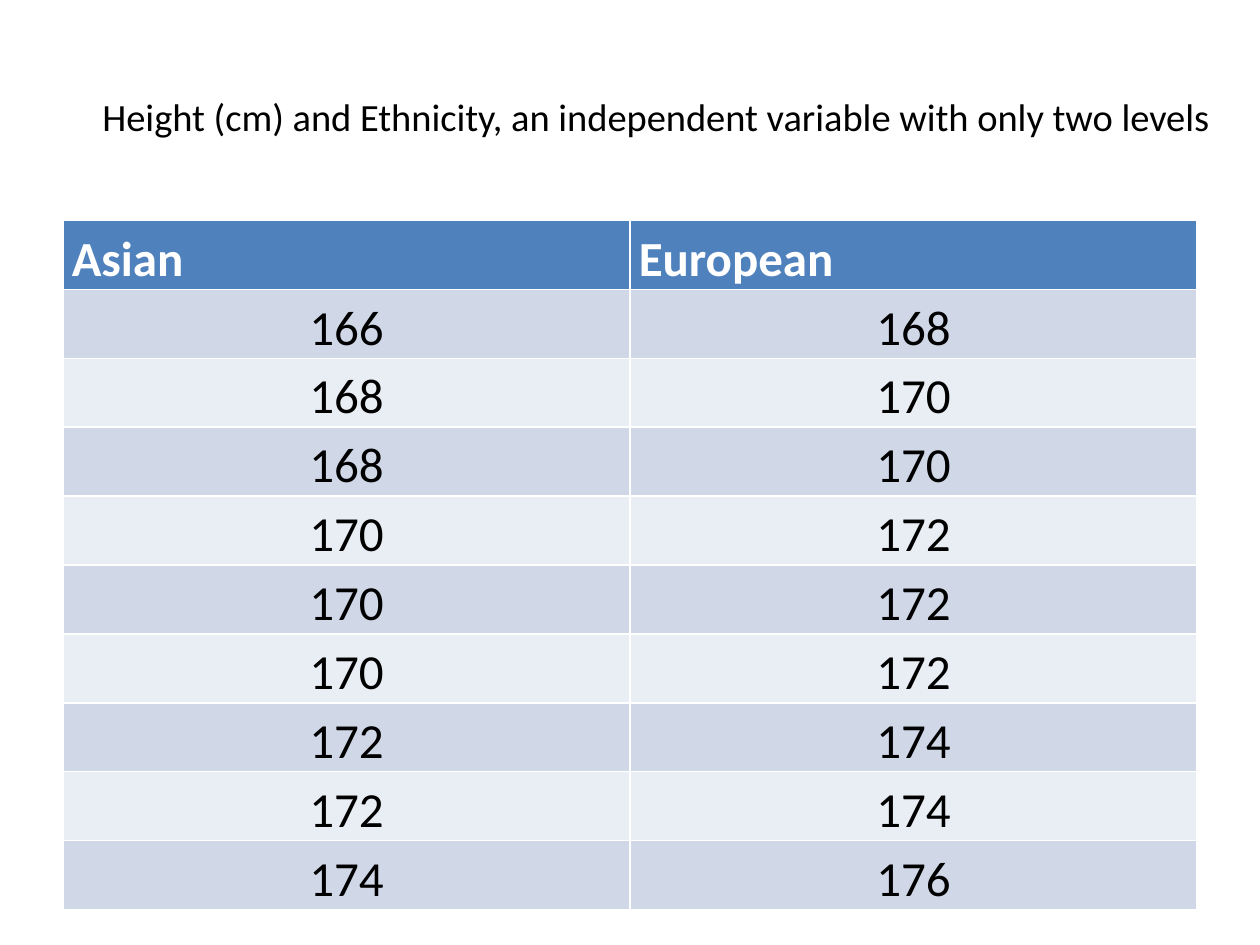
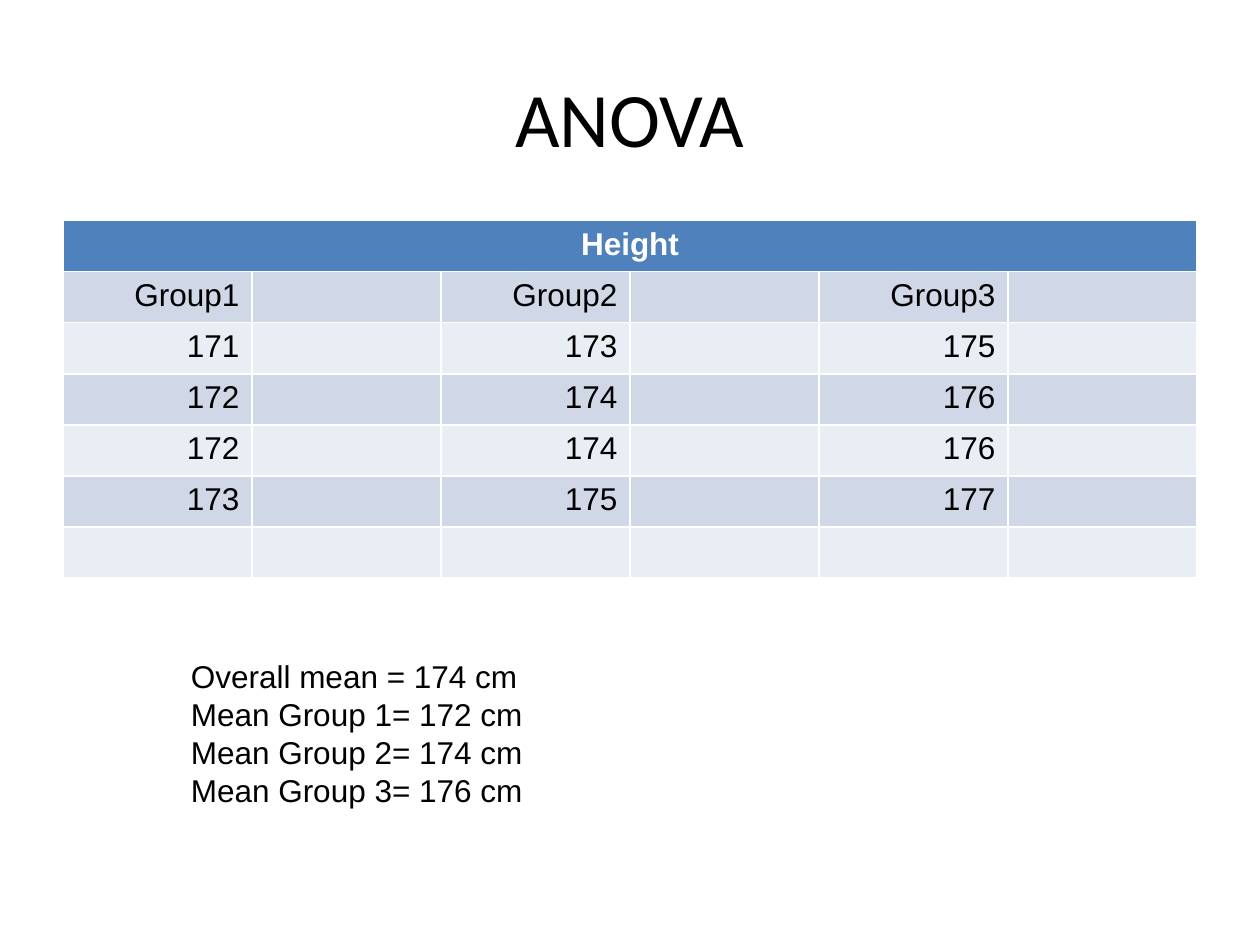
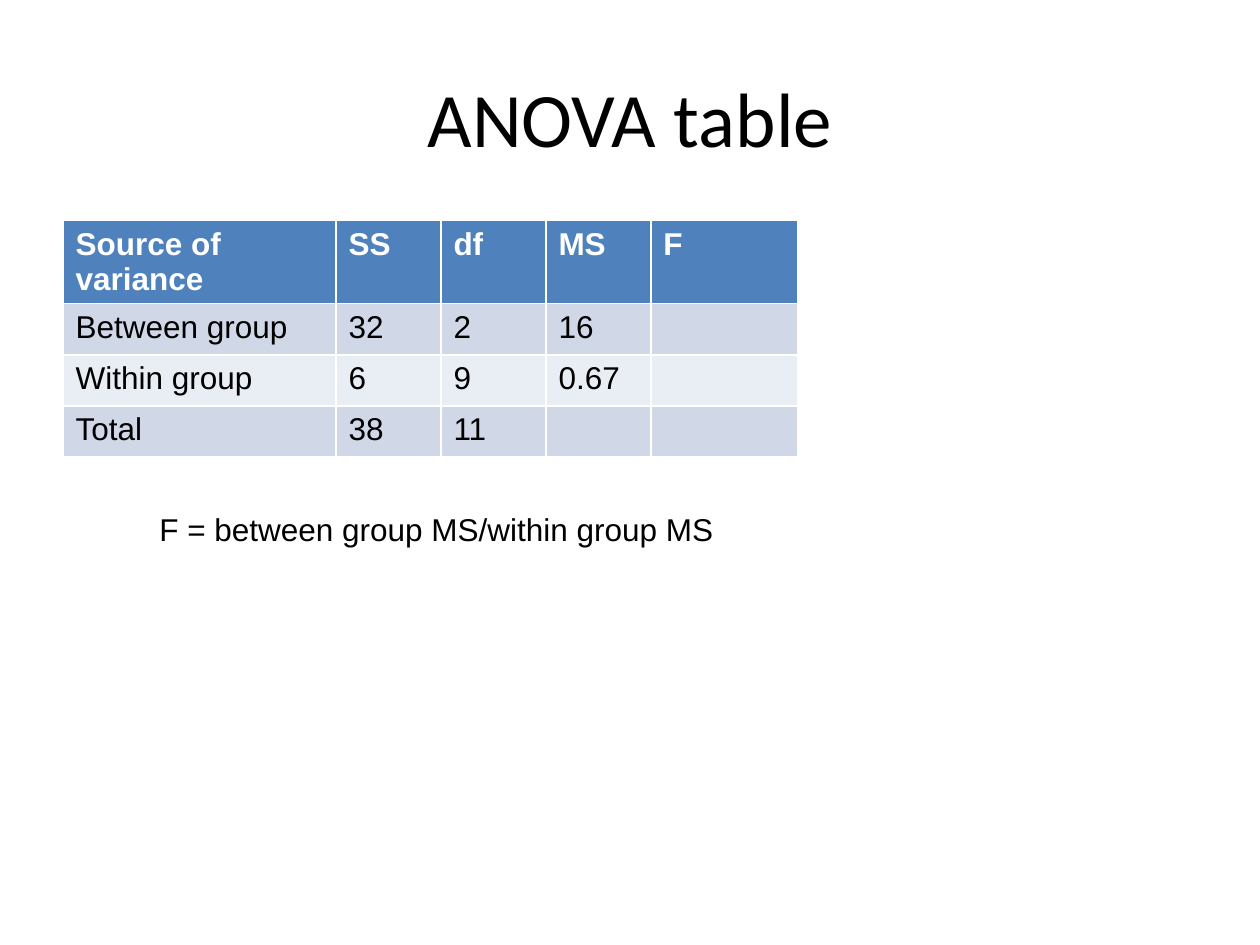
import pptx
import pptx.dml.color
import pptx.enum.text
import pptx.util

TEXT = pptx.enum.text
ALIGN = TEXT.PP_ALIGN
ANCHOR = TEXT.MSO_ANCHOR

HUES = {
    "ink": "000000",
    "paper": "FFFFFF",
    "head": "4F81BD",
    "odd": "D0D8E8",
    "even": "E9EDF4",
}
COLS, ROWS = 120, 90
UNIT = pptx.util.Inches(10 / COLS)
LEFT, TOP, WIDE = 6, 21, 108

TITLE = {"name": "Calibri", "size": 44, "bold": False}
BODY = {"name": "Arial", "size": 18, "bold": False}
LARGE = {"name": "Calibri", "size": 28, "bold": False}

HEIGHTS = [
    (166, 168), (168, 170), (168, 170), (170, 172), (170, 172),
    (170, 172), (172, 174), (172, 174), (174, 176),
]
GROUPS = [
    ("Group1", "Group2", "Group3"),
    (171, 173, 175), (172, 174, 176), (172, 174, 176), (173, 175, 177),
]
SOURCES = [
    ("Source of variance", "SS", "df", "MS", "F"),
    ("Between group", 32, 2, 16, ""),
    ("Within group", 6, 9, 0.67, ""),
    ("Total", 38, 11, "", ""),
]
MEANS = [
    "Overall mean = 174 cm",
    "Mean Group 1= 172 cm",
    "Mean Group 2= 174 cm",
    "Mean Group 3= 176 cm",
]


def grid(*cells):
    """Turn grid units into slide lengths."""
    return [round(cell * UNIT) for cell in cells]


def tint(hue):
    return pptx.dml.color.RGBColor.from_string(HUES[hue])


def style(font, look, hue="ink"):
    for key, value in look.items():
        setattr(font, key, pptx.util.Pt(value) if key == "size" else value)
    font.color.rgb = tint(hue)


def start(deck, text, wide=WIDE, size=44):
    """Add a slide with its title."""
    slide = deck.slides.add_slide(deck.slide_layouts[5])
    title = slide.shapes.title
    title.left, title.top, title.width, title.height = grid(LEFT, 3.6, wide, 15)
    title.text_frame.vertical_anchor = ANCHOR.MIDDLE
    para = title.text_frame.paragraphs[0]
    para.text = text
    para.alignment = ALIGN.CENTER
    style(para.font, {**TITLE, "size": size})
    return slide


def table(slide, rows, widths, tall, look, aligns, inset=None, lead=None):
    """Draw a banded table; aligns holds the head and the body alignment."""
    box = grid(LEFT, TOP, sum(widths), tall * len(rows))
    made = slide.shapes.add_table(len(rows), len(widths), *box).table
    for col, wide in zip(made.columns, grid(*widths)):
        col.width = wide
    for i, row in enumerate(rows):
        made.rows[i].height = grid(tall)[0]
        band = "head" if i == 0 else "odd" if i % 2 else "even"
        for j, value in enumerate(row):
            cell = made.cell(i, j)
            cell.fill.solid()
            cell.fill.fore_color.rgb = tint(band)
            if inset:
                cell.margin_left = cell.margin_right = pptx.util.Inches(inset)
                cell.margin_top = cell.margin_bottom = 0
                cell.vertical_anchor = ANCHOR.BOTTOM if i else ANCHOR.TOP
            para = cell.text_frame.paragraphs[0]
            para.text = str(value)
            para.alignment = aligns[min(i, 1)]
            para.line_spacing = lead
            style(para.font, {**look, "bold": i == 0}, "ink" if i else "paper")
    return made


def note(slide, box, lines):
    frame = slide.shapes.add_textbox(*grid(*box)).text_frame
    frame.word_wrap = True
    frame.auto_size = TEXT.MSO_AUTO_SIZE.SHAPE_TO_FIT_TEXT
    frame.text = "\n".join(lines)
    for para in frame.paragraphs:
        style(para.font, BODY)


def levels(deck):
    text = "Height (cm) and Ethnicity, an independent variable with only two levels"
    slide = start(deck, text, wide=113, size=22)
    rows = [("Asian", "European")] + HEIGHTS
    table(slide, rows, [WIDE / 2] * 2, 6.44, LARGE,
          (ALIGN.LEFT, ALIGN.CENTER), inset=0.07, lead=1.15)


def groups(deck):
    slide = start(deck, "ANOVA")
    blank = [""] * 6
    paired = [[part for value in row for part in (value, "")] for row in GROUPS]
    rows = [["Height"] + blank[1:]] + paired + [blank]
    made = table(slide, rows, [WIDE / 6] * 6, 4.87, BODY,
                 (ALIGN.CENTER, ALIGN.RIGHT))
    made.cell(0, 0).merge(made.cell(0, 5))
    note(slide, (17, 62, 36, 15.72), MEANS)


def ratio(deck):
    slide = start(deck, "ANOVA table")
    table(slide, SOURCES, [26, 10, 10, 10, 14], 4.87, BODY,
          (ALIGN.LEFT, ALIGN.LEFT))
    note(slide, (14, 48, 91, 4.85), ["F = between group MS/within group MS"])


def main():
    deck = pptx.Presentation()
    deck.slide_width, deck.slide_height = grid(COLS, ROWS)
    for build in (levels, groups, ratio):
        build(deck)
    deck.save("out.pptx")


if __name__ == "__main__":
    main()
